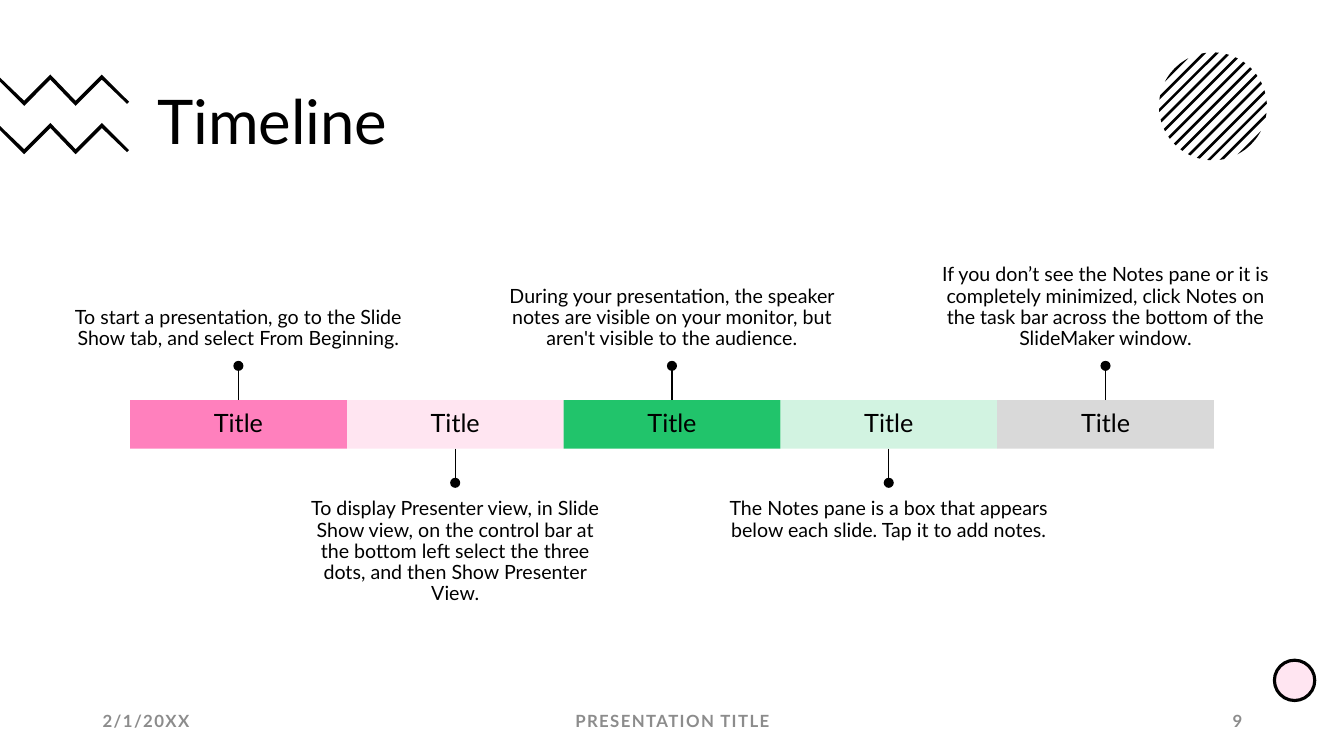
import math
from collections import namedtuple

from lxml import etree
from pptx import Presentation, util as u
from pptx.dml.color import RGBColor
from pptx.enum import shapes, text
from pptx.oxml import ns

# Grid: square cells of a tenth of an inch, 133.33 columns by 75 rows
CELL = u.Inches(0.1)
Box = namedtuple("Box", "left top width height")

BLACK = RGBColor(0x00, 0x00, 0x00)
GRAY = RGBColor(0x8C, 0x8C, 0x8C)
SILVER = RGBColor(0xD9, 0xD9, 0xD9)
PINK = RGBColor(0xFF, 0x80, 0xBD)
GREEN = RGBColor(0x21, 0xC4, 0x6B)

LEFT, CENTER, RIGHT = text.PP_ALIGN.LEFT, text.PP_ALIGN.CENTER, text.PP_ALIGN.RIGHT
TOP, MIDDLE, BOTTOM = text.MSO_ANCHOR.TOP, text.MSO_ANCHOR.MIDDLE, text.MSO_ANCHOR.BOTTOM

# Bar color, opacity in percent, caption width in columns, caption
STEPS = [
    (PINK, 100, 35.8, "To start a presentation, go to the Slide Show tab, and select From Beginning."),
    (PINK, 20, 30.9, "To display Presenter view, in Slide Show view, on the control bar at the "
     "bottom left select the three dots, and then Show Presenter View."),
    (GREEN, 100, 35.8, "During your presentation, the speaker notes are visible on your monitor, "
     "but aren't visible to the audience."),
    (GREEN, 20, 35.8, "The Notes pane is a box that appears below each slide. Tap it to add notes."),
    (SILVER, 100, 35.8, "If you don’t see the Notes pane or it is completely minimized, click Notes "
     "on the task bar across the bottom of the SlideMaker window."),
]


def cells(*counts):
    return [round(count * CELL) for count in counts]


def set_all(target, formats):
    for name, value in formats.items():
        setattr(target, name, value)


def write(shape, words, size, align=CENTER, anchor=MIDDLE, color=BLACK,
          spacing=0.9, inset=(1, 0.5), bold=False, tracking=0):
    side, edge = cells(*inset)
    frame = shape.text_frame
    set_all(frame, dict(word_wrap=True, vertical_anchor=anchor, margin_left=side,
                        margin_right=side, margin_top=edge, margin_bottom=edge))
    para = frame.paragraphs[0]
    set_all(para, dict(alignment=align, line_spacing=spacing))
    span = para.add_run()
    span.text = words
    set_all(span.font, dict(name="Lato", size=u.Pt(size), bold=bold))
    span.font.color.rgb = color
    if tracking:
        span.font._element.set("spc", str(tracking * 100))


def add_text(page, box, words, size, **formats):
    write(page.shapes.add_textbox(*cells(*box)), words, size, **formats)


def paint(shape, color, opacity=100):
    shape.shadow.inherit = False
    shape.fill.solid()
    shape.fill.fore_color.rgb = color
    shape.line.fill.background()
    if opacity < 100:
        tint = shape._element.spPr.find(ns.qn("a:solidFill"))[0]
        etree.SubElement(tint, ns.qn("a:alpha"), val=str(opacity * 1000))


def add_outline(page, points):
    corners = [cells(*point) for point in points]
    builder = page.shapes.build_freeform(*corners[0])
    builder.add_line_segments(corners[1:], close=True)
    paint(builder.convert_to_shape(), BLACK)


def add_striped_disc(page, box):
    stripes, step, half_width, samples = 13, 0.87, 0.13, 6
    radius = box.width / 2
    center_x, center_y = box.left + radius, box.top + radius

    def rim(offset, side):
        reach = side * math.sqrt(max(radius ** 2 - offset ** 2, 0))
        return (center_x + (offset + reach) / math.sqrt(2),
                center_y + (offset - reach) / math.sqrt(2))

    for index in range(stripes):
        middle = (index - stripes // 2) * step
        start = max(middle - half_width, -radius)
        end = min(middle + half_width, radius)
        offsets = [start + (end - start) * k / samples for k in range(samples + 1)]
        add_outline(page, [rim(offset, 1) for offset in offsets]
                    + [rim(offset, -1) for offset in reversed(offsets)])


def add_zigzags(page, box):
    upper = [(0, 0.3), (2.4, 2.6), (5, 0), (7.5, 2.6), (10.1, 0), (12.8, 2.7)]
    lower = [(12.6, 2.9), (10.1, 0.5), (7.5, 3.1), (5, 0.5), (2.4, 3.1), (0, 0.7)]
    for row in (0, 4.8):
        add_outline(page, [(box.left + x, box.top + row + y) for x, y in upper + lower])


def add_ring(page, box):
    ring = page.shapes.add_shape(shapes.MSO_SHAPE.OVAL, *cells(*box))
    paint(ring, PINK, 20)
    ring.line.color.rgb = BLACK
    ring.line.width = u.Pt(2.25)


def add_pin(page, bar, center, edge, direction):
    """Line from the middle of a bar's side to a dot; direction is -1 up, 1 down."""
    length, dot_size = 3.8, 1
    x, start, end = cells(center, edge, edge + direction * length)
    line = page.shapes.add_connector(shapes.MSO_CONNECTOR.STRAIGHT, x, start, x, end)
    line.begin_connect(bar, 0 if direction < 0 else 2)
    line.line.color.rgb = BLACK
    line.line.width = u.Pt(1)
    etree.SubElement(line._element.spPr, ns.qn("a:effectLst"))
    dot_middle = edge + direction * (length - 0.4)
    dot = page.shapes.add_shape(shapes.MSO_SHAPE.OVAL, *cells(
        center - dot_size / 2, dot_middle - dot_size / 2, dot_size, dot_size))
    paint(dot, BLACK)


def add_timeline(page, box):
    caption_height, gap = 16.7, 4.7
    width = box.width / len(STEPS)
    for index, (color, opacity, caption_width, caption) in enumerate(STEPS):
        left = box.left + index * width
        center = left + width / 2
        bar = page.shapes.add_shape(shapes.MSO_SHAPE.RECTANGLE,
                                    *cells(left, box.top, width, box.height))
        paint(bar, color, opacity)
        write(bar, "Title", 18, inset=(0.4, 0))
        # Captions alternate above and below the bar
        if index % 2 == 0:
            edge, direction, anchor = box.top, -1, BOTTOM
            top = edge - gap - caption_height
        else:
            edge, direction, anchor = box.top + box.height, 1, TOP
            top = edge + gap
        add_text(page, Box(center - caption_width / 2, top, caption_width, caption_height),
                 caption, 14, anchor=anchor, inset=(0.6, 0.3))
        add_pin(page, bar, center, edge, direction)


def add_footer(page, box):
    side, middle = 30, 45
    style = dict(color=GRAY, bold=True, tracking=1, spacing=1)
    parts = [("2/1/20XX", LEFT, 0, side),
             ("PRESENTATION TITLE", CENTER, (box.width - middle) / 2, middle),
             ("9", RIGHT, box.width - side, side)]
    for words, align, shift, width in parts:
        add_text(page, Box(box.left + shift, box.top, width, box.height),
                 words, 12, align=align, **style)


def main():
    deck = Presentation()
    set_all(deck, dict(slide_width=u.Inches(13.33), slide_height=u.Inches(7.5)))
    page = deck.slides.add_slide(deck.slide_layouts[6])
    # Decoration
    add_striped_disc(page, Box(114.95, 5.2, 10.7, 10.7))
    add_zigzags(page, Box(0, 7.4, 12.8, 7.9))
    add_ring(page, Box(126.4, 65.5, 4, 4))
    # Content
    add_text(page, Box(14.6, 6.2, 106.6, 12.3), "Timeline", 44, align=LEFT)
    add_timeline(page, Box(12.9, 39.7, 107.5, 4.8))
    add_footer(page, Box(9.2, 69.5, 115, 4))
    deck.save("out.pptx")


if __name__ == "__main__":
    main()
